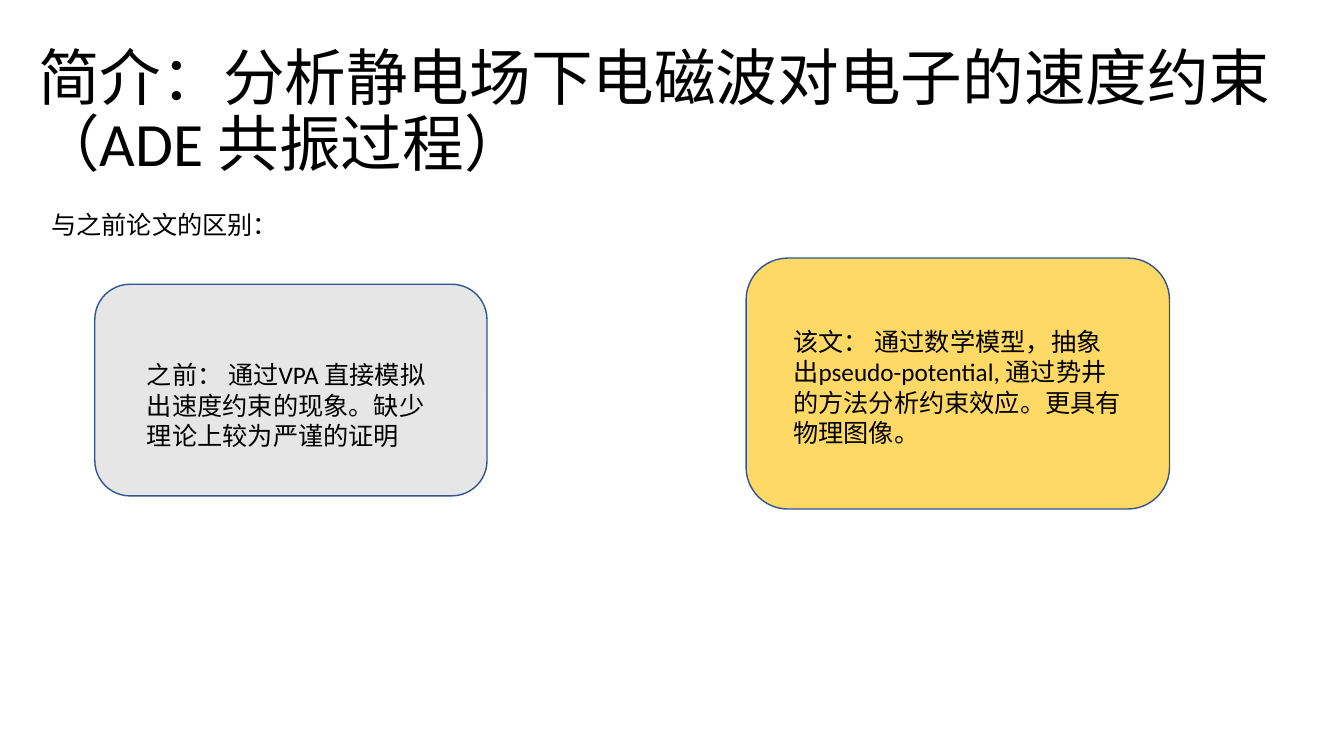
import pptx
import pptx.dml.color
import pptx.enum.shapes
import pptx.enum.text
import pptx.util

Inches, Pt = pptx.util.Inches, pptx.util.Pt
Anchor = pptx.enum.text.MSO_ANCHOR

TITLE = "简介：分析静电场下电磁波对电子的速度约束（ADE 共振过程）"
LEAD = "与之前论文的区别："
# card place, fill, text place, text
CARDS = [
    ((7.4, 2.56, 4.2, 2.49), "FFD966", (7.77, 3.19, 3.46, 1.62),
     "该文： 通过数学模型，抽象出pseudo-potential, 通过势井的方法分析约束效应。更具有物理图像。"),
    ((0.94, 2.82, 3.89, 2.1), "E7E6E6", (1.36, 3.52, 3.06, 1.31),
     "之前： 通过VPA 直接模拟出速度约束的现象。缺少理论上较为严谨的证明"),
]


def color(code):
    return pptx.dml.color.RGBColor.from_string(code)


def write(shape, text, size=18, wrap=True, anchor=Anchor.TOP, spacing=1.0):
    frame = shape.text_frame
    frame.word_wrap = wrap
    frame.auto_size = pptx.enum.text.MSO_AUTO_SIZE.NONE
    frame.vertical_anchor = anchor
    line = frame.paragraphs[0]
    line.alignment = pptx.enum.text.PP_ALIGN.LEFT
    line.line_spacing = spacing
    run = line.add_run()
    run.text = text
    run.font.name = "Calibri"
    run.font.size = Pt(size)
    run.font.color.rgb = color("000000")


def card(place, fill):
    shape = slide.shapes.add_shape(
        pptx.enum.shapes.MSO_SHAPE.ROUNDED_RECTANGLE, *map(Inches, place))
    shape.shadow.inherit = False
    shape.fill.solid()
    shape.fill.fore_color.rgb = color(fill)
    shape.line.color.rgb = color("325491")
    shape.line.width = Pt(1)


def label(place, text, **style):
    write(slide.shapes.add_textbox(*map(Inches, place)), text, **style)


deck = pptx.Presentation()
deck.slide_width, deck.slide_height = Inches(13.33), Inches(7.5)
slide = deck.slides.add_slide(deck.slide_layouts[5])

title = slide.shapes.title
title.left, title.top = Inches(0.28), Inches(0.4)
title.width, title.height = Inches(12.63), Inches(1.45)
write(title, TITLE, size=44, anchor=Anchor.MIDDLE, spacing=0.9)

label((0.41, 2.03, 2.47, 0.4), LEAD, wrap=False)
for place, fill, inner, text in CARDS:
    card(place, fill)
    label(inner, text)

deck.save("out.pptx")
